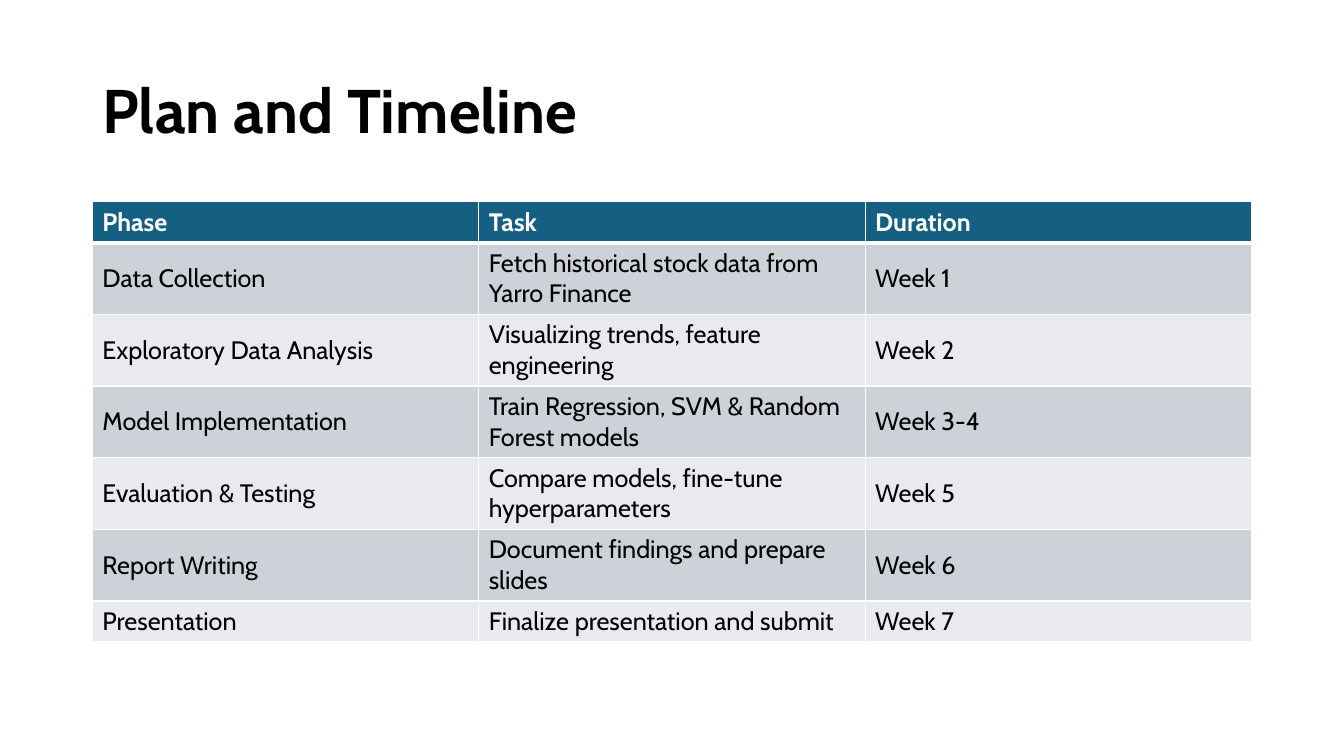
from lxml.etree import SubElement
from pptx import Presentation
from pptx.dml.color import RGBColor
from pptx.enum.text import MSO_ANCHOR as Anchor, PP_ALIGN as Align
from pptx.oxml.ns import qn
from pptx.util import Pt

TITLE = "Plan and Timeline"
HEADINGS = ("Phase", "Task", "Duration")
PHASES = [
    ("Data Collection", "Fetch historical stock data from Yarro Finance", "Week 1"),
    ("Exploratory Data Analysis", "Visualizing trends, feature engineering", "Week 2"),
    ("Model Implementation", "Train Regression, SVM & Random Forest models", "Week 3-4"),
    ("Evaluation & Testing", "Compare models, fine-tune hyperparameters", "Week 5"),
    ("Report Writing", "Document findings and prepare slides", "Week 6"),
    ("Presentation", "Finalize presentation and submit", "Week 7"),
]

FONT = "Cabin"
BLACK, WHITE = "000000", "FFFFFF"
HEADING_FILL = "156082"
BAND_FILLS = ("CCD2D8", "E8EAED")
LEFT, WIDTH = 66, 828
TITLE_TOP, TITLE_HEIGHT = 28.75, 104.4
PLAN_TOP, ROW_HEIGHT = 144.2, 29.2


def color(value):
    return RGBColor.from_string(value)


def format_text(frame, size, ink, bold):
    paragraph = frame.paragraphs[0]
    paragraph.alignment = Align.LEFT
    font = paragraph.runs[0].font
    font.name, font.size, font.bold = FONT, Pt(size), bold
    font.color.rgb = color(ink)
    return paragraph


def add_borders(cell, top, bottom):
    properties = cell._tc.get_or_add_tcPr()
    for side, weight in (("L", 1), ("R", 1), ("T", top), ("B", bottom)):
        border = SubElement(properties, qn(f"a:ln{side}"), w=str(Pt(weight)))
        fill = SubElement(border, qn("a:solidFill"))
        SubElement(fill, qn("a:srgbClr"), val=WHITE)


def add_title(slide):
    title = slide.shapes.title
    title.left, title.top = Pt(LEFT), Pt(TITLE_TOP)
    title.width, title.height = Pt(WIDTH), Pt(TITLE_HEIGHT)
    title.text_frame.text = TITLE
    title.text_frame.vertical_anchor = Anchor.MIDDLE
    format_text(title.text_frame, 44, BLACK, True).line_spacing = 0.9


def add_plan(slide):
    rows = [HEADINGS, *PHASES]
    plan = slide.shapes.add_table(
        len(rows), len(HEADINGS), Pt(LEFT), Pt(PLAN_TOP),
        Pt(WIDTH), Pt(ROW_HEIGHT * len(rows))).table
    for column in plan.columns:
        column.width = Pt(WIDTH / len(HEADINGS))
    for i, row in enumerate(rows):
        heading = i == 0
        plan.rows[i].height = Pt(ROW_HEIGHT)
        for j, wording in enumerate(row):
            cell = plan.cell(i, j)
            cell.text_frame.text = wording
            cell.vertical_anchor = Anchor.MIDDLE
            format_text(cell.text_frame, 18, WHITE if heading else BLACK, heading)
            add_borders(cell, 3 if i == 1 else 1, 3 if heading else 1)
            cell.fill.solid()
            cell.fill.fore_color.rgb = color(
                HEADING_FILL if heading else BAND_FILLS[(i - 1) % 2])


def main():
    deck = Presentation()
    deck.slide_width, deck.slide_height = Pt(960), Pt(540)
    slide = deck.slides.add_slide(deck.slide_layouts[5])
    add_title(slide)
    add_plan(slide)
    deck.save("out.pptx")


if __name__ == "__main__":
    main()
